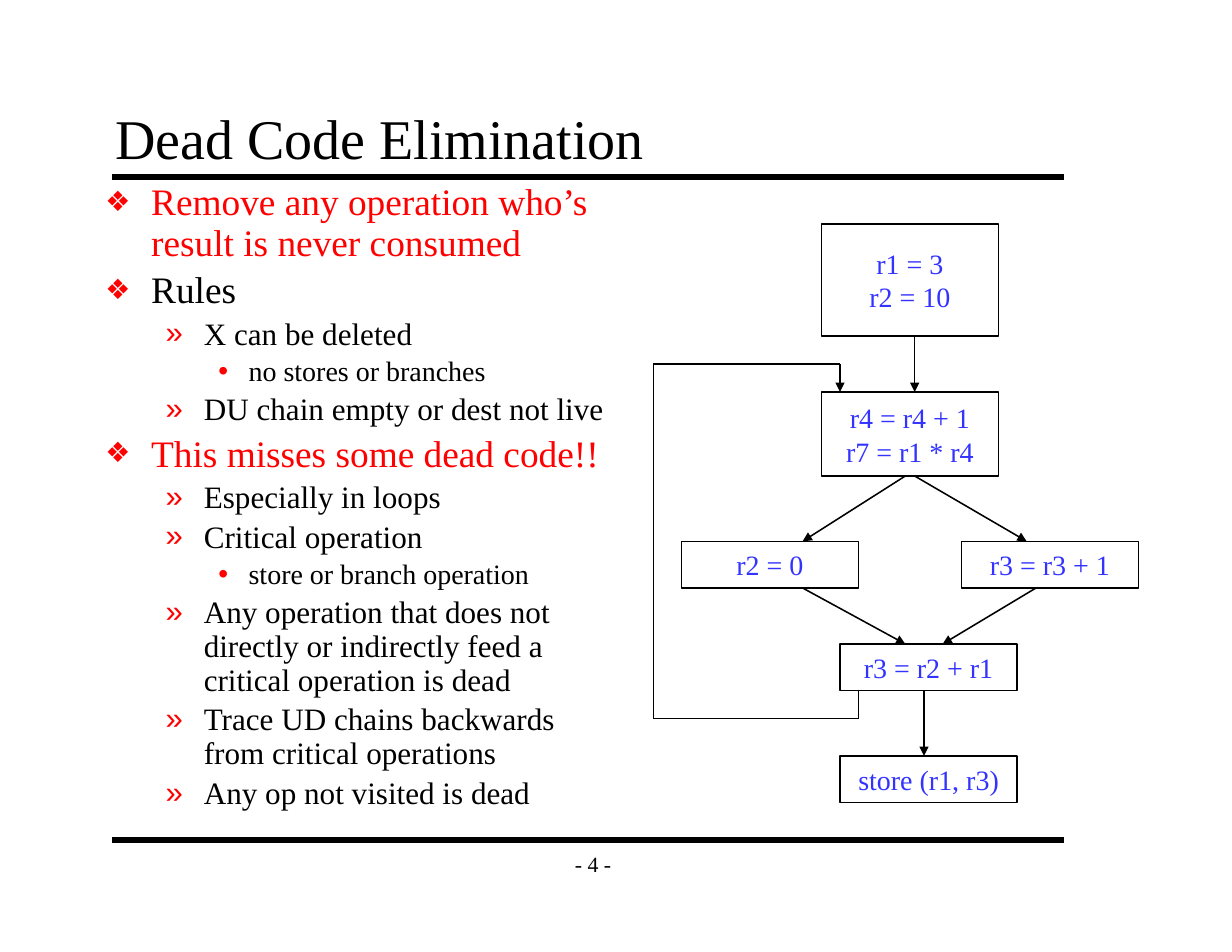
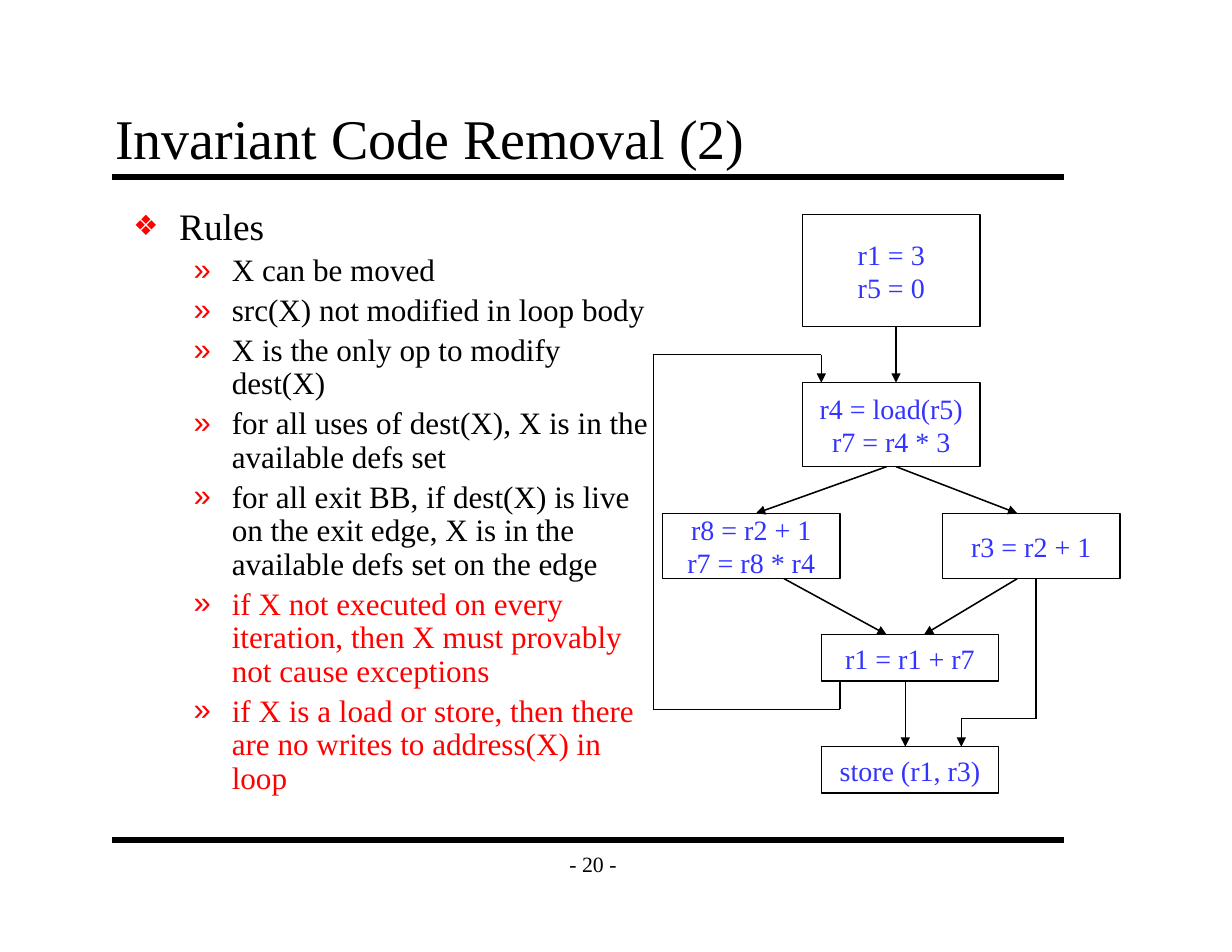
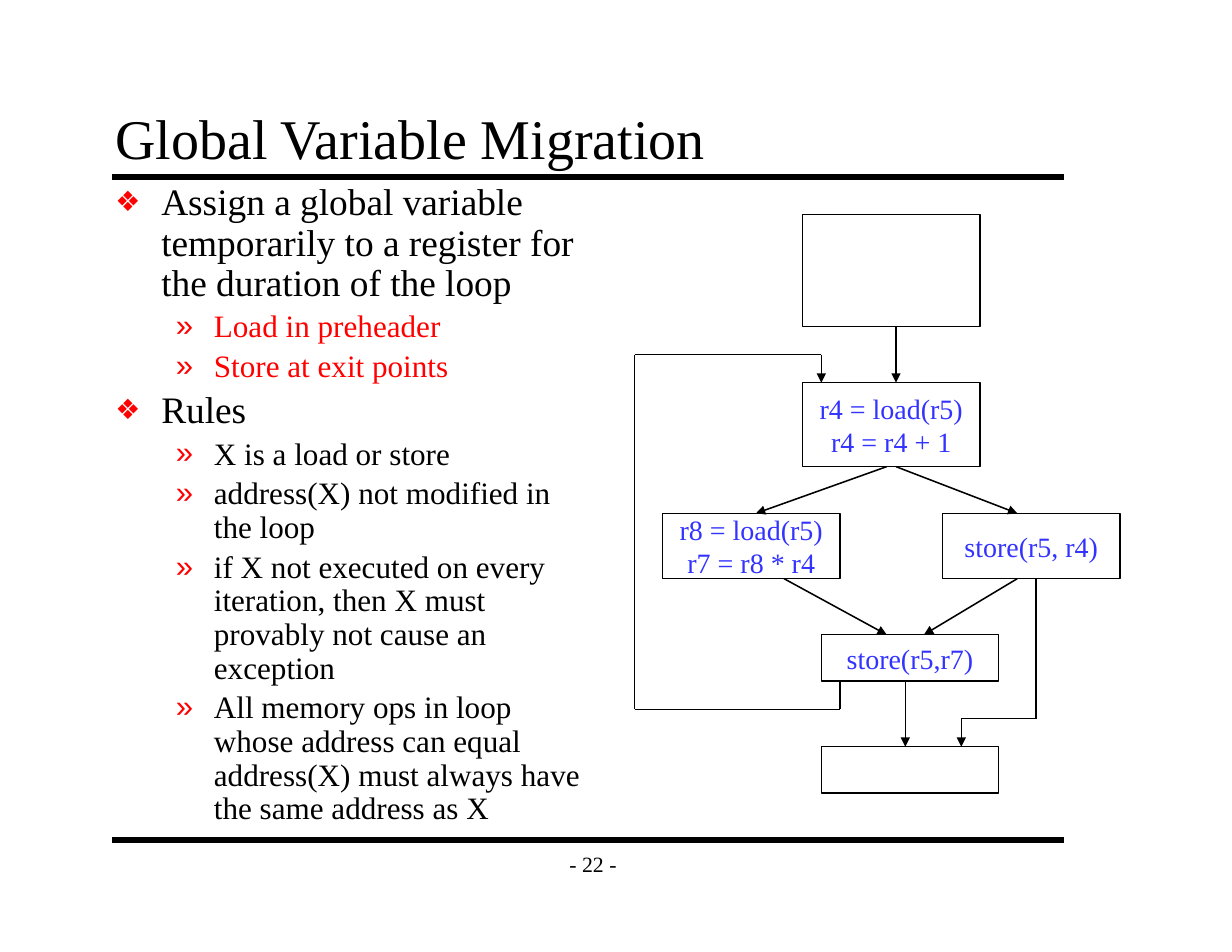
"""Builds three compiler optimisation slides, each a rule list beside a flow graph."""
import pptx
import pptx.chart.data
import pptx.dml.color
import pptx.enum.shapes
import pptx.enum.text
import pptx.oxml
import pptx.oxml.ns
import pptx.util
from lxml import etree

Inches, Pt = pptx.util.Inches, pptx.util.Pt
Align, Anchor = pptx.enum.text.PP_ALIGN, pptx.enum.text.MSO_ANCHOR
Auto = pptx.enum.text.MSO_AUTO_SIZE
HUES = {"ink": "000000", "red": "FF0000", "code": "3333FF"}
FACE = "Times New Roman"
GRID = 12

LEVELS = [
    {"size": 24, "left": 0.41, "hang": 0.41, "mark": "❖", "scale": 75},
    {"size": 20, "left": 0.88, "hang": 0.34, "mark": "»", "scale": 100},
    {"size": 18, "left": 1.28, "hang": 0.27, "mark": "•", "scale": 100},
]

SLIDES = [
    {
        "title": "Dead Code Elimination",
        "page": 4,
        "body": (0.83, 1.58, 4.75, 5.7),
        "list": [
            (0, "Remove any operation who’s result is never consumed", "red"),
            (0, "Rules", "ink"),
            (1, "X can be deleted", "ink"),
            (2, "no stores or branches", "ink"),
            (1, "DU chain empty or dest not live", "ink"),
            (0, "This misses some dead code!!", "red"),
            (1, "Especially in loops", "ink"),
            (1, "Critical operation", "ink"),
            (2, "store or branch operation", "ink"),
            (1, "Any operation that does not directly or indirectly feed a "
                "critical operation is dead", "ink"),
            (1, "Trace UD chains backwards from critical operations", "ink"),
            (1, "Any op not visited is dead", "ink"),
        ],
        "code": ["r1 = 3\nr2 = 10", "r4 = r4 + 1\nr7 = r1 * r4", "r2 = 0",
                 "r3 = r3 + 1", "r3 = r2 + r1", "store (r1, r3)"],
        "graph": {"start": (88, 24), "side": 34, "fork": (-2, 22),
                  "loop": -18, "exit": False},
    },
    {
        "title": "Invariant Code Removal (2)",
        "page": 20,
        "body": (1.08, 1.8, 4.83, 5.7),
        "list": [
            (0, "Rules", "ink"),
            (1, "X can be moved", "ink"),
            (1, "src(X) not modified in loop body", "ink"),
            (1, "X is the only op to modify dest(X)", "ink"),
            (1, "for all uses of dest(X), X is in the available defs set", "ink"),
            (1, "for all exit BB, if dest(X) is live on the exit edge, X is in "
                "the available defs set on the edge", "ink"),
            (1, "if X not executed on every iteration, then X must provably "
                "not cause exceptions", "red"),
            (1, "if X is a load or store, then there are no writes to "
                "address(X) in loop", "red"),
        ],
        "code": ["r1 = 3\nr5 = 0", "r4 = load(r5)\nr7 = r4 * 3",
                 "r8 = r2 + 1\nr7 = r8 * r4", "r3 = r2 + 1", "r1 = r1 + r7",
                 "store (r1, r3)"],
        "graph": {"start": (86, 23), "side": 32, "fork": (-5, 23),
                  "loop": -16, "exit": True},
    },
    {
        "title": "Global Variable Migration",
        "page": 22,
        "body": (0.92, 1.58, 4.42, 5.7),
        "list": [
            (0, "Assign a global variable temporarily to a register for the "
                "duration of the loop", "ink"),
            (1, "Load in preheader", "red"),
            (1, "Store at exit points", "red"),
            (0, "Rules", "ink"),
            (1, "X is a load or store", "ink"),
            (1, "address(X) not modified in the loop", "ink"),
            (1, "if X not executed on every iteration, then X must provably "
                "not cause an exception", "ink"),
            (1, "All memory ops in loop whose address can equal address(X) "
                "must always have the same address as X", "ink"),
        ],
        "code": ["", "r4 = load(r5)\nr4 = r4 + 1", "r8 = load(r5)\nr7 = r8 * r4",
                 "store(r5, r4)", "store(r5,r7)", ""],
        "graph": {"start": (86, 23), "side": 32, "fork": (-5, 23),
                  "loop": -18, "exit": True},
    },
]


def assign(item, look):
    """Set each attribute named in a dict."""
    for name, value in look.items():
        setattr(item, name, value)


def tint(text):
    """Give the colour for a hue name."""
    return pptx.dml.color.RGBColor.from_string(HUES[text])


def node(host, tag, **attrs):
    """Append a drawing element and return it."""
    return etree.SubElement(host, pptx.oxml.ns.qn("a:" + tag), **attrs)


def style(para, size, hue):
    """Set the font of a paragraph."""
    assign(para.font, {"name": FACE, "size": Pt(size), "bold": False})
    para.font.color.rgb = tint(hue)


def place(shape, box):
    """Move a shape to a box in inches."""
    assign(shape, dict(zip(("left", "top", "width", "height"), map(Inches, box))))


def frame(shape, anchor, wrap):
    """Set the text frame and return it."""
    text = shape.text_frame
    assign(text, {
        "auto_size": Auto.NONE, "word_wrap": wrap, "vertical_anchor": anchor,
        "margin_left": Inches(0.11), "margin_right": Inches(0.11),
        "margin_top": Inches(0.06), "margin_bottom": Inches(0.06)})
    return text


def line(slide, start, end, width=1, arrow=False):
    """Draw a straight line between two points in inches."""
    link = slide.shapes.add_connector(
        pptx.enum.shapes.MSO_CONNECTOR.STRAIGHT, *map(Inches, start + end))
    link.line.width = Pt(width)
    link.line.color.rgb = tint("ink")
    if arrow:
        node(link.line._get_or_add_ln(), "tailEnd", type="triangle", w="med", len="med")
    node(link._element.spPr, "effectLst")


def base(slide, title, page):
    """Add the title, both rules and the page number."""
    place(slide.shapes.title, (0.92, 0.91, 8.5, 0.67))
    text = frame(slide.shapes.title, Anchor.BOTTOM, True)
    text.text = title
    text.paragraphs[0].alignment = Align.LEFT
    style(text.paragraphs[0], 36, "ink")
    for y in (1.58, 7.5):
        line(slide, (1, y), (9.5, y), 4)
    foot = slide.shapes.add_textbox(*map(Inches, (4.92, 7.5, 0.75, 0.42)))
    text = frame(foot, Anchor.MIDDLE, False)
    text.text = f"- {page} -"
    text.paragraphs[0].alignment = Align.CENTER
    style(text.paragraphs[0], 14, "ink")


def outline(slide, box, items):
    """Fill the body placeholder with a bulleted list."""
    body = slide.placeholders[1]
    place(body, box)
    text = frame(body, Anchor.TOP, True)
    text.text = "\n".join(item[1] for item in items)
    for para, (level, _, hue) in zip(text.paragraphs, items):
        rule = LEVELS[level]
        assign(para, {"level": level, "line_spacing": 0.9, "alignment": Align.LEFT})
        style(para, rule["size"], hue)
        props = para._p.get_or_add_pPr()
        props.set("marL", str(Inches(rule["left"])))
        props.set("indent", str(-Inches(rule["hang"])))
        node(node(props, "spcBef"), "spcPct", val="20000")
        node(node(props, "buClr"), "srgbClr", val=HUES["red"])
        node(props, "buSzPct", val=str(rule["scale"] * 1000))
        node(props, "buFont", typeface="Arial")
        node(props, "buChar", char=rule["mark"])


def graph(slide, code, start, side, fork, loop, exit):
    """Draw the flow graph on a grid of twelfths of an inch."""
    def spot(x, y):
        return ((start[0] + x) / GRID, (start[1] + y) / GRID)

    low = 39
    boxes = [(0, 0, 12), (0, 18, 9), (-15, side, low - side),
             (15, side, low - side), (2, 45, 5), (2, 57, 5)]
    for (x, y, high), words in zip(boxes, code):
        block = slide.shapes.add_shape(
            pptx.enum.shapes.MSO_SHAPE.RECTANGLE,
            *map(Inches, spot(x, y) + (19 / GRID, high / GRID)))
        block.shadow.inherit = False
        block.fill.background()
        block.line.width = Pt(1)
        block.line.color.rgb = tint("ink")
        if words:
            text = frame(block, Anchor.MIDDLE, False)
            text.text = words
            for para in text.paragraphs:
                para.alignment = Align.CENTER
                style(para, 18, "code")

    routes = [
        [(10, 12), (10, 18)],
        [(9, 27), (fork[0], side)],
        [(10, 27), (fork[1], side)],
        [(-2, low), (9, 45)],
        [(23, low), (13, 45)],
        [(11, 50), (11, 57)],
        [(4, 50), (4, 53), (loop, 53), (loop, 15), (2, 15), (2, 18)],
    ]
    if exit:
        routes.append([(25, low), (25, 54), (17, 54), (17, 57)])
    for route in routes:
        for head, tail in zip(route, route[1:]):
            line(slide, spot(*head), spot(*tail), arrow=tail == route[-1])


deck = pptx.Presentation()
assign(deck, {"slide_width": Inches(11), "slide_height": Inches(8.5)})
for data in SLIDES:
    slide = deck.slides.add_slide(deck.slide_layouts[1])
    base(slide, data["title"], data["page"])
    outline(slide, data["body"], data["list"])
    graph(slide, data["code"], **data["graph"])
deck.save("out.pptx")
